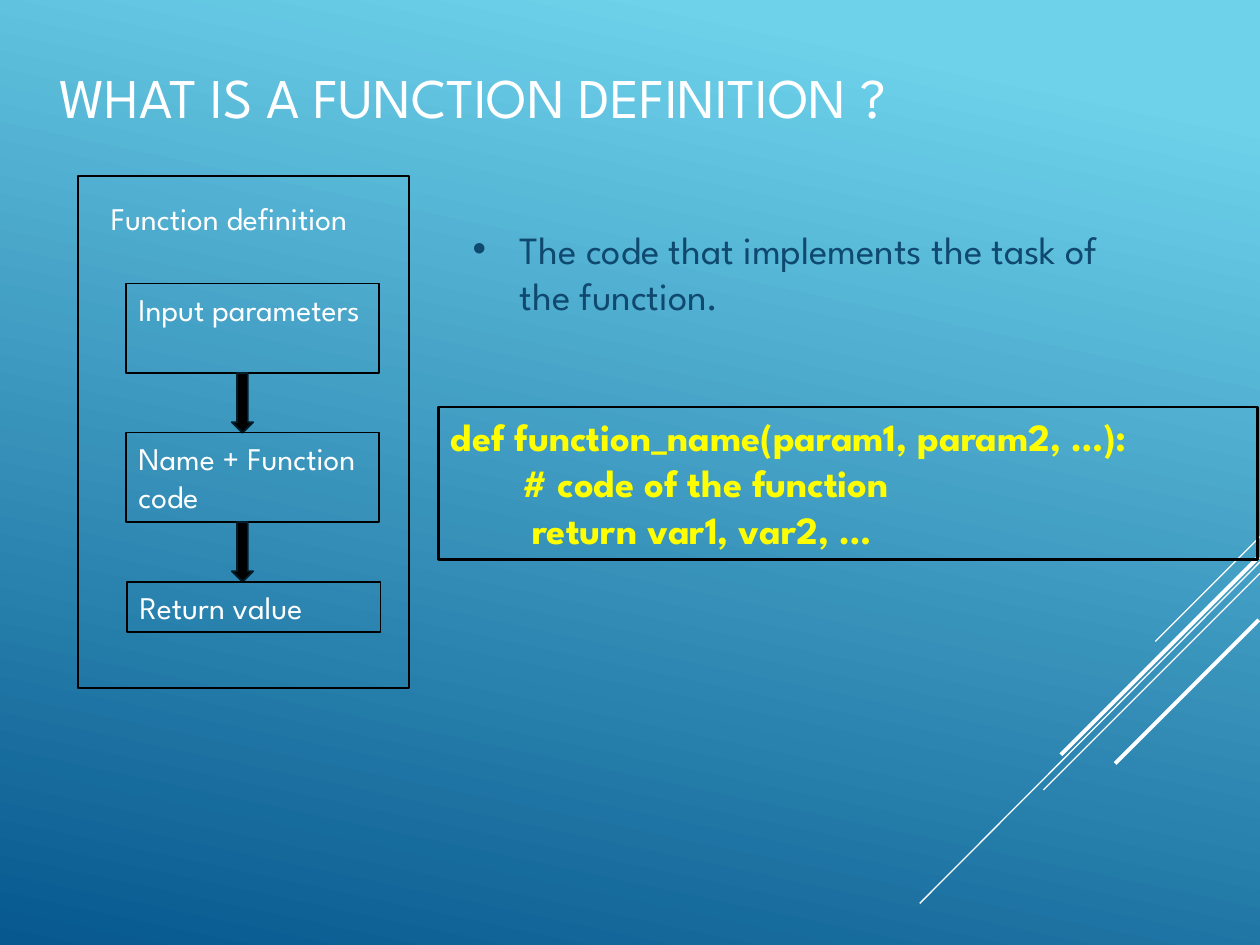
from lxml import etree
from pptx import Presentation
from pptx.dml.color import RGBColor
from pptx.enum import shapes, text
from pptx.oxml import ns
from pptx.util import Pt

FONT = "League Spartan"
COLORS = {
    "sky": "6ED2EB", "deep": "06588E", "white": "FFFFFF", "navy": "0F496F",
    "black": "000000", "arrow_edge": "021E2B", "code": "FFFF00",
}
STREAKS = [
    (720, 306.7, 660.2, 366.5, 0.75),
    (720, 321.1, 525.6, 516.2, 0.75),
    (720, 327.6, 596.2, 451.4, 0.75),
    (719.3, 318.2, 606.2, 431.3, 2.25),
    (719.3, 354.2, 637.2, 436.3, 2.25),
]
STEPS = [
    ("Input parameters", 72, 51.1),
    ("Name + Function code", 72, 51.1),
    ("Return value", 72.7, 28.8),
]
STEP_TOP, STEP_PITCH, STEP_WIDTH = 162, 85.2, 144.7
CODE = [
    "def function_name(param1, param2, …):",
    "       # code of the function",
    "        return var1, var2, …",
]


def color(name):
    return RGBColor.from_string(COLORS[name])


def paint_background(slide):
    fill = slide.background.fill
    fill.gradient()
    fill.gradient_angle = 360 - 102
    for stop, name, position in zip(fill.gradient_stops, ("sky", "deep"), (0.1, 1)):
        stop.color.rgb = color(name)
        stop.position = position


def add_streak(slide, x1, y1, x2, y2, width):
    streak = slide.shapes.add_connector(
        shapes.MSO_CONNECTOR.STRAIGHT, Pt(x1), Pt(y1), Pt(x2), Pt(y2))
    streak.line.color.rgb = color("white")
    streak.line.width = Pt(width)
    etree.SubElement(streak._element.spPr, ns.qn("a:effectLst"))


def write(holder, lines, size, ink, bold=False, anchor=text.MSO_ANCHOR.TOP, wrap=True):
    frame = holder.text_frame
    frame.text = "\n".join(lines)
    frame.auto_size = text.MSO_AUTO_SIZE.NONE
    frame.word_wrap = wrap
    frame.vertical_anchor = anchor
    for paragraph in frame.paragraphs:
        paragraph.alignment = text.PP_ALIGN.LEFT
        font = paragraph.font
        font.name, font.size, font.bold = FONT, Pt(size), bold
        font.color.rgb = color(ink)


def place(holder, left, top, width, height):
    holder.left, holder.top = Pt(left), Pt(top)
    holder.width, holder.height = Pt(width), Pt(height)


def add_bullet(paragraph):
    props = paragraph._p.get_or_add_pPr()
    props.set("marL", str(Pt(22.5)))
    props.set("indent", str(Pt(-22.5)))
    bullet_color = etree.SubElement(props, ns.qn("a:buClr"))
    etree.SubElement(bullet_color, ns.qn("a:srgbClr"), val=COLORS["white"])
    etree.SubElement(props, ns.qn("a:buSzPct"), val="80000")
    etree.SubElement(props, ns.qn("a:buChar"), char="▶")


def add_box(slide, left, top, width, height, line_width):
    box = slide.shapes.add_shape(
        shapes.MSO_SHAPE.RECTANGLE, Pt(left), Pt(top), Pt(width), Pt(height))
    box.shadow.inherit = False
    box.fill.background()
    box.line.color.rgb = color("black")
    box.line.width = Pt(line_width)
    return box


def add_down_arrow(slide, top):
    arrow = slide.shapes.add_shape(
        shapes.MSO_SHAPE.DOWN_ARROW, Pt(132.5), Pt(top), Pt(12.2), Pt(34.2))
    arrow.shadow.inherit = False
    arrow.fill.solid()
    arrow.fill.fore_color.rgb = color("black")
    arrow.line.color.rgb = color("arrow_edge")
    arrow.line.width = Pt(1)


def add_flow(slide):
    for index, (label, left, height) in enumerate(STEPS):
        top = STEP_TOP + index * STEP_PITCH
        step = add_box(slide, left, top, STEP_WIDTH, height, 1)
        write(step, [label], 18, "white")
        if index < len(STEPS) - 1:
            add_down_arrow(slide, top + height)
    heading = slide.shapes.add_textbox(Pt(56.2), Pt(110.2), Pt(176.4), Pt(28.8))
    write(heading, ["Function definition"], 18, "white", wrap=False)
    add_box(slide, 44.6, 100.8, 189.4, 292.3, 1.25)


def main():
    deck = Presentation()
    deck.slide_width, deck.slide_height = Pt(720), Pt(540)
    slide = deck.slides.add_slide(deck.slide_layouts[1])
    paint_background(slide)
    for streak in STREAKS:
        add_streak(slide, *streak)

    title = slide.shapes.title
    place(title, 26.6, 11.5, 558, 86.4)
    write(title, ["WHAT IS A FUNCTION DEFINITION ?"], 32, "white",
          anchor=text.MSO_ANCHOR.MIDDLE)

    body = slide.placeholders[1]
    place(body, 262.8, 125.3, 401.8, 100.1)
    summary = body.text_frame.paragraphs[0]
    add_bullet(summary)
    summary.space_before, summary.space_after = Pt(0), Pt(6)
    write(body, ["The code that implements the task of the function."], 22, "navy")

    add_flow(slide)
    code = add_box(slide, 250.6, 232.6, 468, 87.1, 1.25)
    write(code, CODE, 22, "code", bold=True)
    deck.save("out.pptx")


if __name__ == "__main__":
    main()
